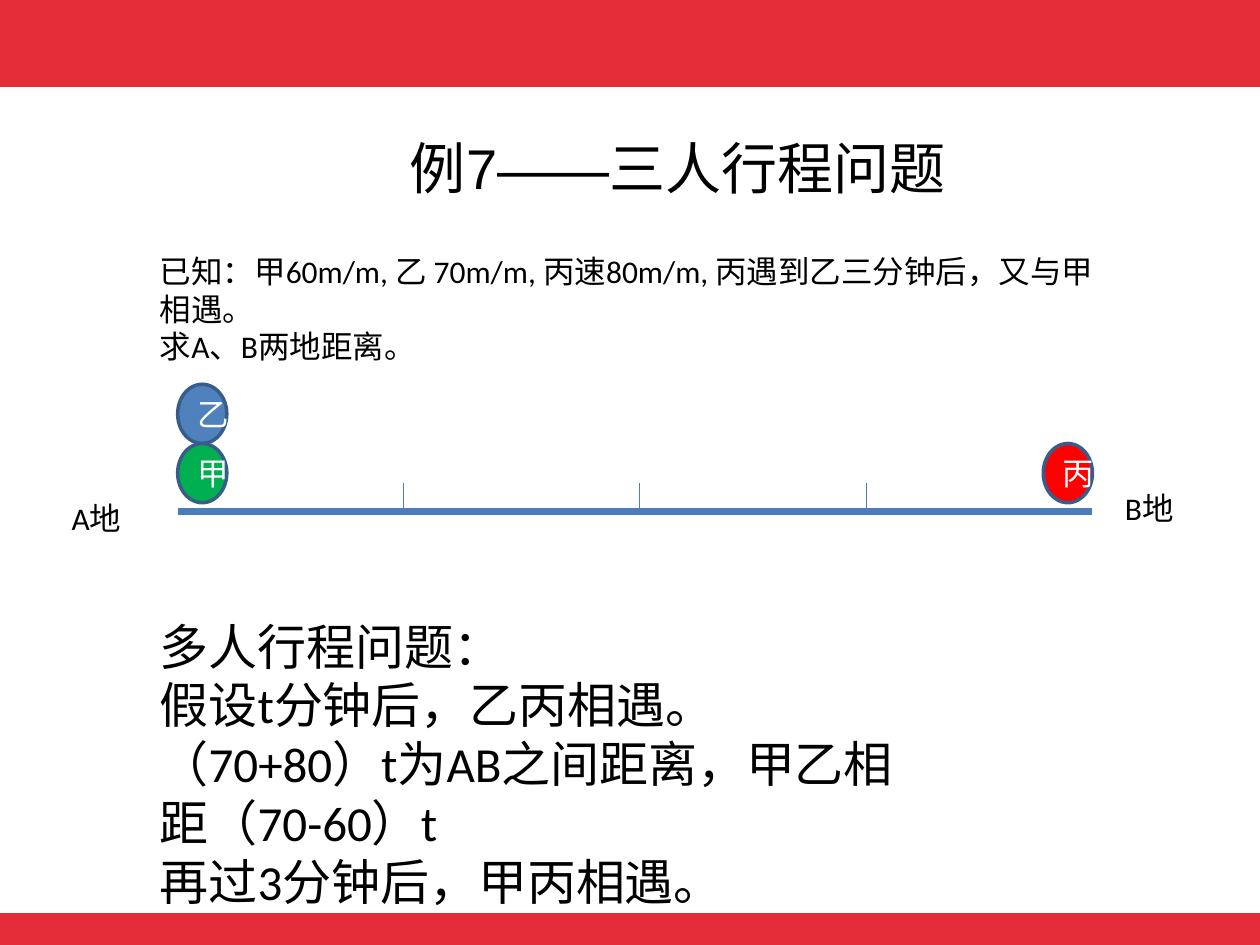
import pptx
import pptx.util
import pptx.dml.color
import pptx.enum.shapes
import pptx.enum.text
from lxml import etree

Inches = pptx.util.Inches
Pt = pptx.util.Pt
RGBColor = pptx.dml.color.RGBColor
MSO_SHAPE = pptx.enum.shapes.MSO_SHAPE

RED_BAND = RGBColor(0xE4, 0x2C, 0x38)
ROAD_BLUE = RGBColor(0x4A, 0x7E, 0xBB)
OUTLINE_BLUE = RGBColor(0x38, 0x5D, 0x8A)
YI_BLUE = RGBColor(0x4F, 0x81, 0xBD)
JIA_GREEN = RGBColor(0x00, 0xB0, 0x50)
BING_RED = RGBColor(0xFF, 0x00, 0x00)
BLACK = RGBColor(0, 0, 0)
WHITE = RGBColor(0xFF, 0xFF, 0xFF)

SLIDE_WIDTH, SLIDE_HEIGHT = 10, 7.5
WALKER_WIDTH, WALKER_HEIGHT = 0.39, 0.47
TICK_HEIGHT = 0.23
TICK_SHARES = (0.247, 0.505, 0.753)


def to_lengths(box):
    return [Inches(value) for value in box]


def add_run(paragraph, text, size, color, font="Calibri"):
    run = paragraph.add_run()
    run.text = text
    run.font.size = Pt(size)
    run.font.name = font
    run.font.color.rgb = color


def add_filled_shape(slide, kind, box, fill, outline):
    shape = slide.shapes.add_shape(kind, *to_lengths(box))
    shape.shadow.inherit = False
    shape.fill.solid()
    shape.fill.fore_color.rgb = fill
    shape.line.color.rgb = outline
    shape.line.width = Pt(2)
    return shape


def add_line(slide, start, end, width):
    line = slide.shapes.add_connector(
        pptx.enum.shapes.MSO_CONNECTOR.STRAIGHT, *to_lengths(start + end))
    line.line.color.rgb = ROAD_BLUE
    line.line.width = Pt(width)
    etree.SubElement(line._element.spPr, pptx.oxml.ns.qn("a:effectLst"))


def add_text(slide, box, lines, size):
    frame = slide.shapes.add_textbox(*to_lengths(box)).text_frame
    frame.word_wrap = True
    frame.auto_size = pptx.enum.text.MSO_AUTO_SIZE.SHAPE_TO_FIT_TEXT
    for index, line in enumerate(lines):
        paragraph = frame.add_paragraph() if index else frame.paragraphs[0]
        add_run(paragraph, line, size, BLACK)


def add_bands(slide):
    for box in ((0, -0.03, SLIDE_WIDTH, 0.71), (0, 7.26, SLIDE_WIDTH, 0.24)):
        add_filled_shape(slide, MSO_SHAPE.RECTANGLE, box, RED_BAND, RED_BAND)


def format_title(slide, box, text):
    title = slide.shapes.title
    title.left, title.top, title.width, title.height = to_lengths(box)
    frame = title.text_frame
    frame.vertical_anchor = pptx.enum.text.MSO_ANCHOR.MIDDLE
    paragraph = frame.paragraphs[0]
    paragraph.alignment = pptx.enum.text.PP_ALIGN.CENTER
    add_run(paragraph, text, 32, BLACK, "Arial")


def add_walker(slide, left, top, name, color):
    box = (left, top, WALKER_WIDTH, WALKER_HEIGHT)
    walker = add_filled_shape(slide, MSO_SHAPE.OVAL, box, color, OUTLINE_BLUE)
    paragraph = walker.text_frame.paragraphs[0]
    paragraph.alignment = pptx.enum.text.PP_ALIGN.CENTER
    add_run(paragraph, name, 18, WHITE)


def add_road(slide, box):
    """Draw the road along the bottom of the box, with walkers at both ends."""
    left, top, width, height = box
    right, road = left + width, top + height
    add_line(slide, (left, road), (right, road), 4.5)
    for share in TICK_SHARES:
        x = left + share * width
        add_line(slide, (x, road - TICK_HEIGHT), (x, road), 0.75)

    lower_row = top + WALKER_HEIGHT
    add_walker(slide, left, top, "乙", YI_BLUE)
    add_walker(slide, left, lower_row, "甲", JIA_GREEN)
    add_walker(slide, right - WALKER_WIDTH, lower_row, "丙", BING_RED)

    add_text(slide, (left - 0.94, road - 0.15, 0.86, 0.4), ["A地"], 18)
    add_text(slide, (right + 0.16, road - 0.23, 1.17, 0.4), ["B地"], 18)


def main():
    presentation = pptx.Presentation()
    presentation.slide_width = Inches(SLIDE_WIDTH)
    presentation.slide_height = Inches(SLIDE_HEIGHT)
    slide = presentation.slides.add_slide(presentation.slide_layouts[5])

    add_bands(slide)
    format_title(slide, (0.76, 0.7, 9.24, 1.25), "例7——三人行程问题")
    add_text(slide, (1.17, 1.95, 7.73, 1), [
        "已知：甲60m/m, 乙 70m/m, 丙速80m/m, 丙遇到乙三分钟后，又与甲相遇。",
        "求A、B两地距离。",
    ], 18)
    add_road(slide, (1.41, 3.05, 7.26, 1.01))
    add_text(slide, (1.17, 4.84, 6.02, 2.44), [
        "多人行程问题：",
        "假设t分钟后，乙丙相遇。",
        "（70+80）t为AB之间距离，甲乙相距（70-60）t",
        "再过3分钟后，甲丙相遇。",
    ], 28)
    presentation.save("out.pptx")


if __name__ == "__main__":
    main()
